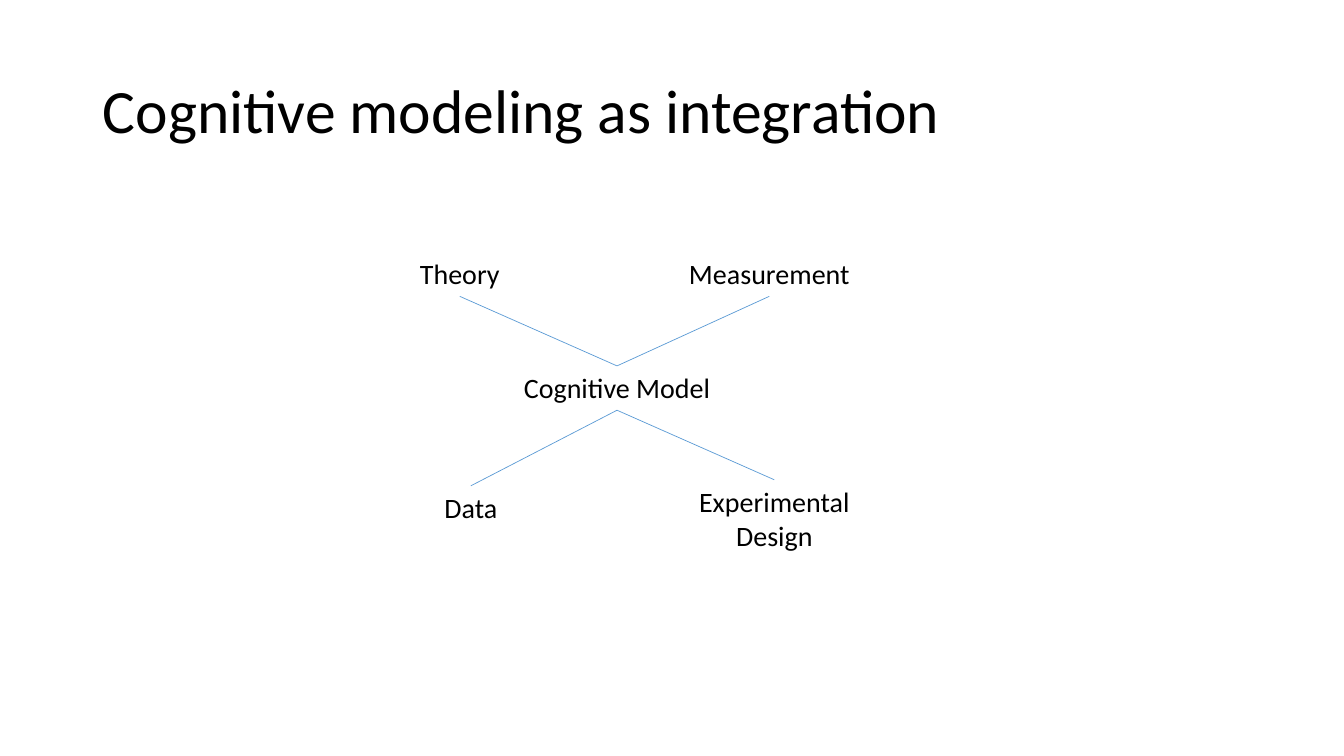
from pptx import Presentation
from pptx.dml.color import RGBColor
from pptx.enum.shapes import MSO_CONNECTOR
from pptx.enum.text import MSO_ANCHOR, MSO_AUTO_SIZE, PP_ALIGN
from pptx.util import Inches, Pt
from lxml import etree

STRAIGHT = MSO_CONNECTOR.STRAIGHT
MIDDLE = MSO_ANCHOR.MIDDLE
FIT_TEXT = MSO_AUTO_SIZE.SHAPE_TO_FIT_TEXT
NO_FIT = MSO_AUTO_SIZE.NONE
CENTER, LEFT = PP_ALIGN.CENTER, PP_ALIGN.LEFT
TOP_SITE, BOTTOM_SITE = 0, 2
DRAWING = "http://schemas.openxmlformats.org/drawingml/2006/main"

THEME = {
    "text": RGBColor(0x00, 0x00, 0x00),
    "link": RGBColor(0x5B, 0x9B, 0xD5),
    "font": "Calibri",
    "title_size": Pt(44),
    "label_size": Pt(20),
    "link_width": Pt(0.5),
}


def set_values(target, values):
    for name, value in values.items():
        setattr(target, name, value)


def write_text(shape, text, size, frame_format, paragraph_format):
    set_values(shape.text_frame, {"word_wrap": True, **frame_format})
    paragraph = shape.text_frame.paragraphs[0]
    set_values(paragraph, paragraph_format)
    run = paragraph.add_run()
    run.text = text
    set_values(run.font, {"name": THEME["font"], "size": size})
    run.font.color.rgb = THEME["text"]


presentation = Presentation()
set_values(presentation, {"slide_width": Inches(13.33), "slide_height": Inches(7.5)})
slide = presentation.slides.add_slide(presentation.slide_layouts[5])

title = slide.shapes.title
set_values(title, {"left": Inches(0.92), "top": Inches(0.4),
                   "width": Inches(11.5), "height": Inches(1.45)})
write_text(title, "Cognitive modeling as integration", THEME["title_size"],
           {"vertical_anchor": MIDDLE, "auto_size": NO_FIT},
           {"alignment": LEFT, "line_spacing": 0.9})

label_width = 2.08
labels = [
    ("Cognitive Model", 5.08, 3.63, 0.44),
    ("Theory", 3.52, 2.5, 0.44),
    ("Measurement", 6.59, 2.5, 0.44),
    ("Data", 3.63, 4.82, 0.44),
    ("Experimental Design", 6.64, 4.76, 0.77),
]
boxes = []
for text, left, top, height in labels:
    box = slide.shapes.add_textbox(Inches(left), Inches(top),
                                   Inches(label_width), Inches(height))
    write_text(box, text, THEME["label_size"],
               {"auto_size": FIT_TEXT}, {"alignment": CENTER})
    boxes.append(box)

model, *inputs = boxes
for box in inputs:
    above = box.top < model.top
    link = slide.shapes.add_connector(STRAIGHT, 0, 0, 0, 0)
    link.begin_connect(box, BOTTOM_SITE if above else TOP_SITE)
    link.end_connect(model, TOP_SITE if above else BOTTOM_SITE)
    link.line.color.rgb = THEME["link"]
    link.line.width = THEME["link_width"]
    etree.SubElement(link._element.spPr, f"{{{DRAWING}}}effectLst")

presentation.save("out.pptx")
